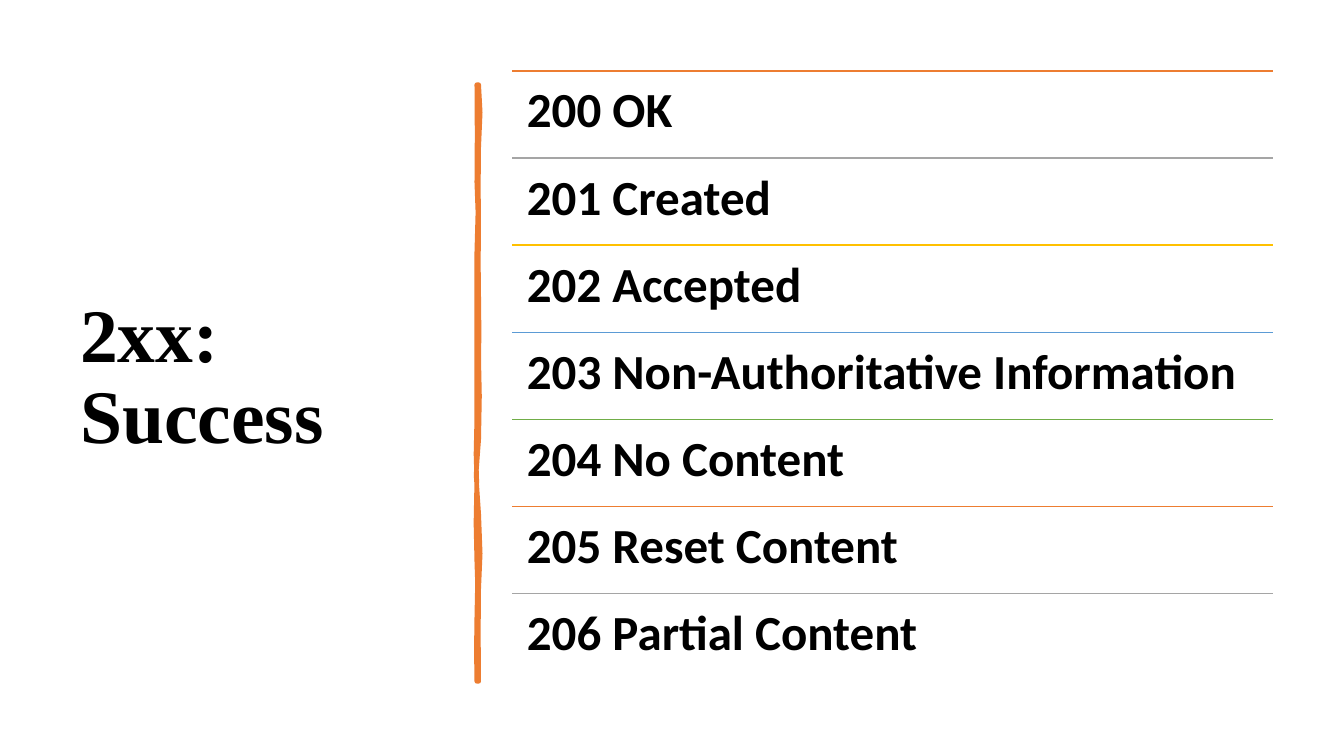
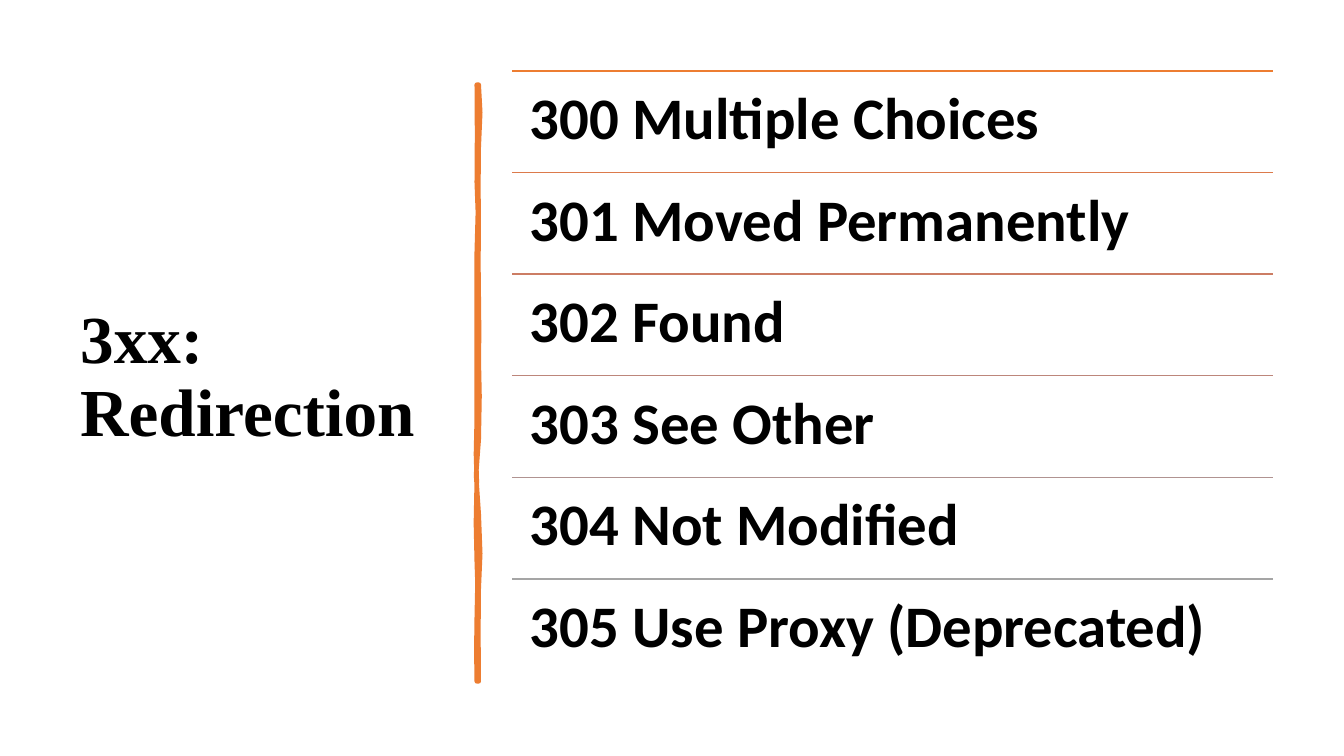
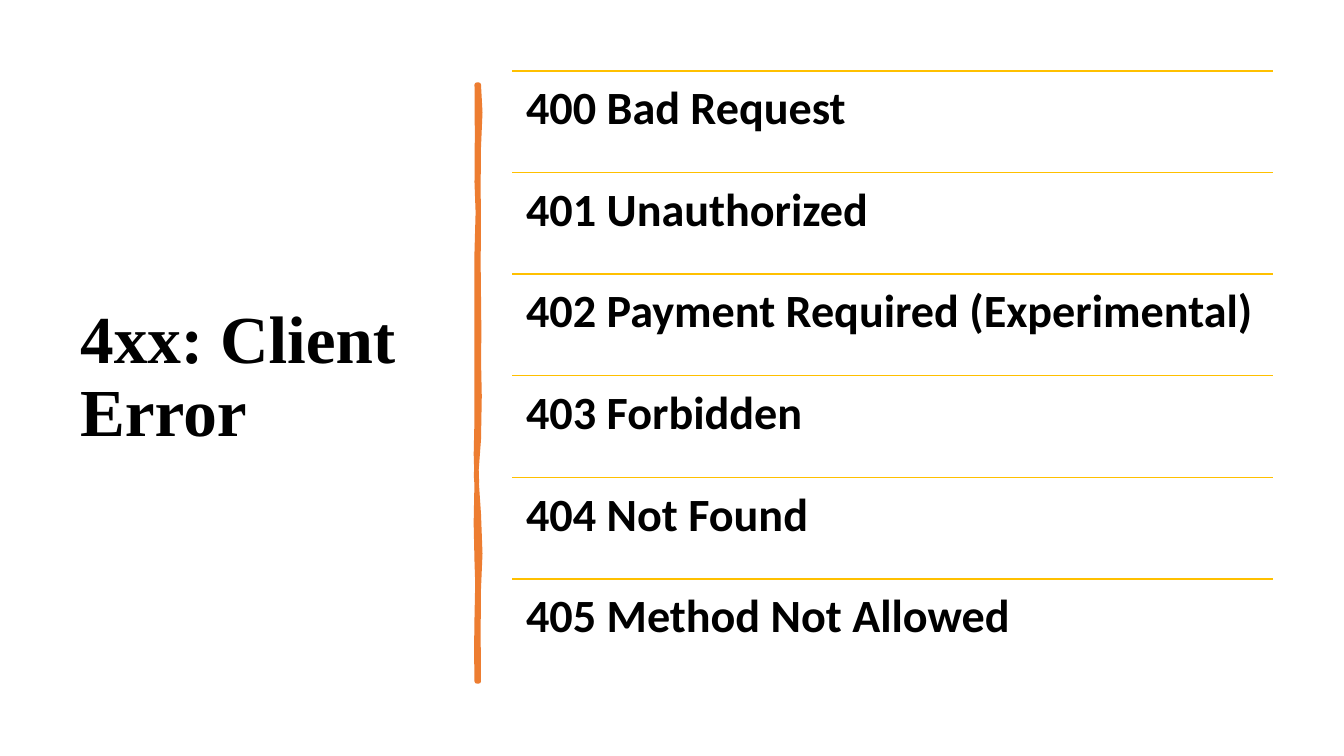
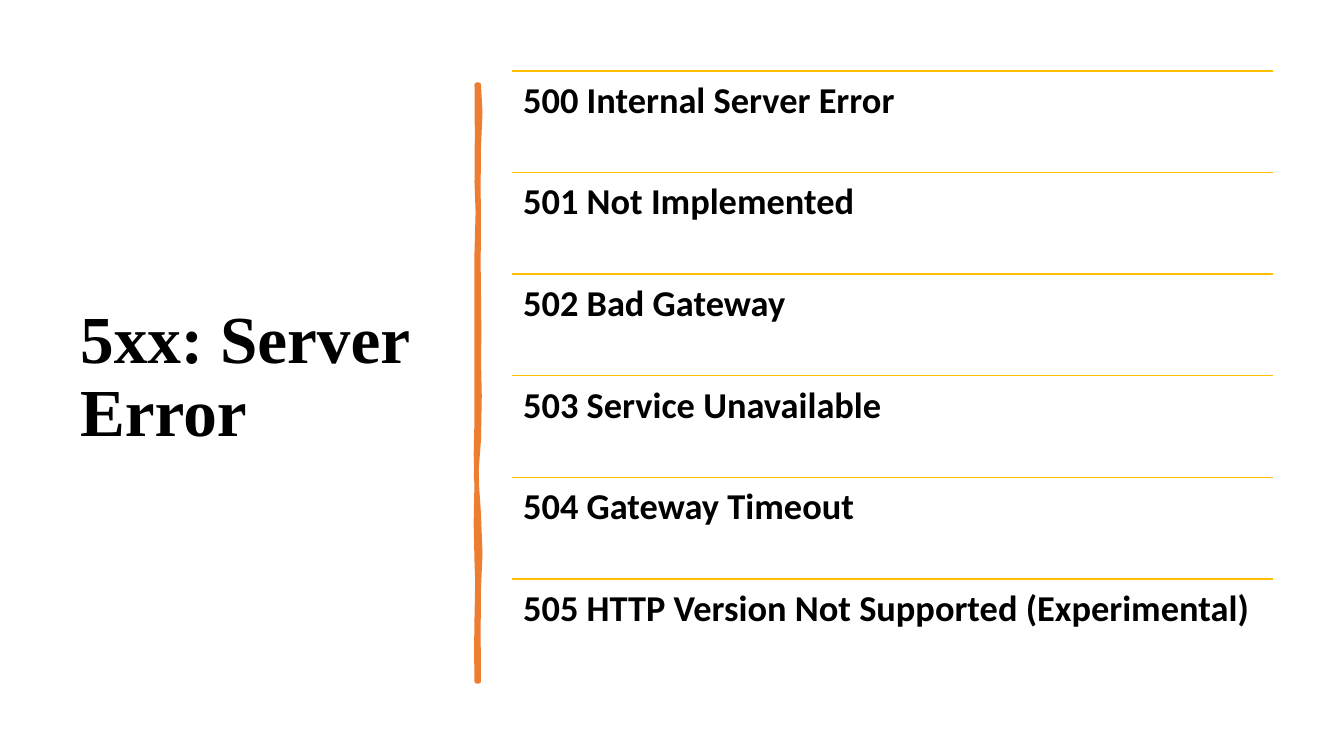
from dataclasses import dataclass
from typing import Any

from lxml.etree import SubElement
from pptx import Presentation
from pptx.dml.color import RGBColor
from pptx.enum.shapes import MSO_CONNECTOR
from pptx.enum.text import MSO_ANCHOR, PP_ALIGN
from pptx.oxml.ns import qn
from pptx.util import Pt


@dataclass(frozen=True)
class Theme:
    ink: str = "000000"
    orange: str = "ED7D31"
    gray: str = "A5A5A5"
    gold: str = "FFC000"
    blue: str = "5B9BD5"
    green: str = "70AD47"
    head_font: str = "Times New Roman"
    row_font: str = "Calibri"
    head_big: float = 54
    head_small: float = 48
    row_sizes: tuple[float, ...] = (35, 42, 33, 26)
    rule: float = 1
    brush: float = 3.25
    leading: float = 0.9
    after: float = 0.35
    inset: float = 0.3


@dataclass(frozen=True)
class Box:
    left: float
    top: float
    width: float
    height: float


@dataclass(frozen=True)
class Page:
    head: str
    head_size: float
    row_size: float
    rows: tuple[str, ...]
    hues: tuple[str, ...]


THEME = Theme()
HEAD = Box(50.2, 50.4, 269.3, 440)
LIST = Box(365.9, 50.64, 543.6, 435.6)
START = (342, 60.5)
CURVES = (
    ((343.4, 73.4), (343.4, 85.7), (342, 105.1)),
    ((340.6, 124.6), (342.7, 140.4), (342, 162.7)),
    ((341.3, 185), (342, 188.6), (342, 211.7)),
    ((341.3, 234), (343.4, 246.2), (342, 256.3)),
    ((340.6, 266.4), (344.9, 298.1), (342, 313.9)),
    ((339.1, 329), (339.8, 348.5), (342, 367.2)),
    ((343.4, 385.9), (343.4, 406.1), (342, 420.5)),
    ((340.6, 434.2), (342.7, 468), (342, 486.7)),
    ((341.3, 486.7), (340.6, 486.7), (340.6, 486.7)),
    ((341.3, 465.1), (339.1, 463.7), (340.6, 441.4)),
    ((341.3, 419.8), (341.3, 410.4), (340.6, 401)),
    ((339.8, 391.7), (339.8, 356.4), (340.6, 343.4)),
    ((340.6, 330.5), (339.1, 320.4), (340.6, 298.8)),
    ((341.3, 277.9), (339.8, 268.6), (340.6, 241.2)),
    ((341.3, 214.6), (339.8, 202.3), (340.6, 180)),
    ((341.3, 157), (342, 144), (340.6, 130.3)),
    ((338.4, 117.4), (343.4, 74.9), (340.6, 60.5)),
)
STEPS = 2

PAGES = (
    Page(
        "2xx: Success", THEME.head_big, THEME.row_sizes[0],
        ("200 OK", "201 Created", "202 Accepted",
         "203 Non-Authoritative Information", "204 No Content",
         "205 Reset Content", "206 Partial Content"),
        (THEME.orange, THEME.gray, THEME.gold, THEME.blue, THEME.green),
    ),
    Page(
        "3xx: Redirection", THEME.head_small, THEME.row_sizes[1],
        ("300 Multiple Choices", "301 Moved Permanently", "302 Found",
         "303 See Other", "304 Not Modified", "305 Use Proxy (Deprecated)"),
        (THEME.orange, "DC7A4B", "CC7D64", "BD867B", "B09391", THEME.gray),
    ),
    Page(
        "4xx: Client Error", THEME.head_small, THEME.row_sizes[2],
        ("400 Bad Request", "401 Unauthorized",
         "402 Payment Required (Experimental)", "403 Forbidden",
         "404 Not Found", "405 Method Not Allowed"),
        (THEME.gold,),
    ),
    Page(
        "5xx: Server Error", THEME.head_small, THEME.row_sizes[3],
        ("500 Internal Server Error", "501 Not Implemented",
         "502 Bad Gateway", "503 Service Unavailable", "504 Gateway Timeout",
         "505 HTTP Version Not Supported (Experimental)"),
        (THEME.gold,),
    ),
)


def apply(thing: Any, values: dict[str, Any]) -> None:
    for name, value in values.items():
        setattr(thing, name, value)


def add_text(shapes: Any, box: Box, text: str, font: str, size: float,
             frame: dict[str, Any], after: float = 0) -> None:
    shape = shapes.add_textbox(
        Pt(box.left), Pt(box.top), Pt(box.width), Pt(box.height))
    apply(shape.text_frame, {"word_wrap": True, **frame})
    para = shape.text_frame.paragraphs[0]
    apply(para, {"alignment": PP_ALIGN.LEFT, "line_spacing": THEME.leading,
                 "space_after": Pt(after)})
    run = para.add_run()
    run.text = text
    apply(run.font, {"name": font, "size": Pt(size), "bold": True})
    run.font.color.rgb = RGBColor.from_string(THEME.ink)


def add_rule(shapes: Any, top: float, hue: str) -> None:
    line = shapes.add_connector(
        MSO_CONNECTOR.STRAIGHT, Pt(LIST.left), Pt(top),
        Pt(LIST.left + LIST.width), Pt(top))
    line.line.color.rgb = RGBColor.from_string(hue)
    line.line.width = Pt(THEME.rule)
    SubElement(line._element.spPr, qn("a:effectLst"))


def trace() -> list[tuple[int, int]]:
    dots = []
    last = START
    for one, two, end in CURVES:
        for step in range(1, STEPS + 1):
            t = step / STEPS
            u = 1 - t
            x, y = (
                u**3 * a + 3 * u * u * t * b + 3 * u * t * t * c + t**3 * d
                for a, b, c, d in zip(last, one, two, end))
            dots.append((Pt(x), Pt(y)))
        last = end
    return dots


def add_brush(shapes: Any) -> None:
    path = shapes.build_freeform(Pt(START[0]), Pt(START[1]))
    path.add_line_segments(trace(), close=True)
    brush = path.convert_to_shape()
    brush.shadow.inherit = False
    brush.fill.solid()
    for paint in (brush.fill.fore_color, brush.line.color):
        paint.rgb = RGBColor.from_string(THEME.orange)
    brush.line.width = Pt(THEME.brush)


def add_rows(shapes: Any, page: Page) -> None:
    group = shapes.add_group_shape().shapes
    pitch = LIST.height / len(page.rows)
    pad = Pt(page.row_size * THEME.inset)
    sides = ("left", "top", "right", "bottom")
    frame = {f"margin_{side}": pad for side in sides}
    for i, text in enumerate(page.rows):
        top = LIST.top + i * pitch
        add_rule(group, top, page.hues[i % len(page.hues)])
        add_text(group, Box(LIST.left, top, LIST.width, pitch), text,
                 THEME.row_font, page.row_size, frame,
                 page.row_size * THEME.after)


def main() -> None:
    deck = Presentation()
    apply(deck, {"slide_width": Pt(960), "slide_height": Pt(540)})
    for page in PAGES:
        shapes = deck.slides.add_slide(deck.slide_layouts[6]).shapes
        add_text(shapes, HEAD, page.head, THEME.head_font, page.head_size,
                 {"vertical_anchor": MSO_ANCHOR.MIDDLE})
        add_brush(shapes)
        add_rows(shapes, page)
    deck.save("out.pptx")


if __name__ == "__main__":
    main()
